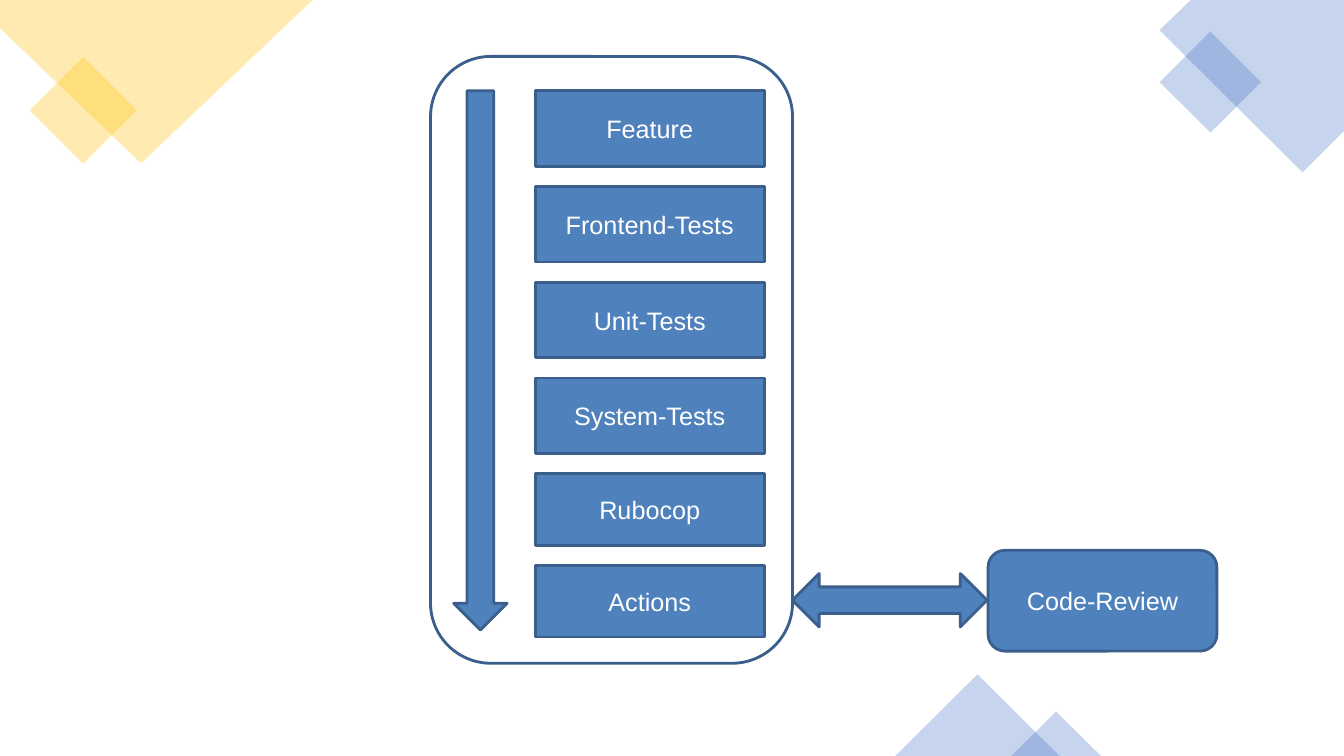
import dataclasses

import lxml.etree
import pptx
import pptx.dml.color
import pptx.enum.shapes
import pptx.enum.text
import pptx.oxml.ns
import pptx.util

EMU_PER_PX = 9144
SHAPES = pptx.enum.shapes.MSO_SHAPE


@dataclasses.dataclass(frozen=True)
class Theme:
    """Colours, font and sizes of the slide."""
    gold: str = "FFC000"
    blue: str = "4472C4"
    box: str = "4F81BD"
    outline: str = "3A5F8C"
    label: str = "FFFFFF"
    font: str = "Arial"
    label_size: int = 18
    line_width: int = 2
    decor_opacity: int = 30


THEME = Theme()


def px(length):
    """Turn whole px into EMU."""
    return pptx.util.Emu(length * EMU_PER_PX)


def rgb(colour):
    """Turn a hex string into a colour."""
    return pptx.dml.color.RGBColor.from_string(colour)


def write_text(frame, text, size=THEME.label_size, colour=THEME.label, font=THEME.font):
    """Write one centred, formatted line into a text frame."""
    frame.word_wrap = True
    frame.vertical_anchor = pptx.enum.text.MSO_ANCHOR.MIDDLE
    paragraph = frame.paragraphs[0]
    paragraph.alignment = pptx.enum.text.PP_ALIGN.CENTER
    run = paragraph.add_run()
    run.text = text
    run.font.size = pptx.util.Pt(size)
    run.font.name = font
    run.font.color.rgb = rgb(colour)


def add_outlined(slide, kind, left, top, width, height, fill=THEME.box, text=None):
    """Add an outlined diagram shape, with a label if given."""
    part = slide.shapes.add_shape(kind, px(left), px(top), px(width), px(height))
    part.shadow.inherit = False
    part.line.color.rgb = rgb(THEME.outline)
    part.line.width = pptx.util.Pt(THEME.line_width)
    if fill:
        part.fill.solid()
        part.fill.fore_color.rgb = rgb(fill)
    else:
        part.fill.background()
    if text:
        write_text(part.text_frame, text)


def tint(decor, colour):
    """Give a decoration a see-through fill and no line."""
    decor.shadow.inherit = False
    decor.line.fill.background()
    decor.fill.solid()
    decor.fill.fore_color.rgb = rgb(colour)
    qn = pptx.oxml.ns.qn
    colour_node = decor.element.spPr.find(qn("a:solidFill")).find(qn("a:srgbClr"))
    alpha = lxml.etree.SubElement(colour_node, qn("a:alpha"))
    alpha.set("val", str(THEME.decor_opacity * 1000))


def add_decor(slide, kind, left, top, width, height, colour, rotation=0):
    """Add a preset decoration."""
    decor = slide.shapes.add_shape(kind, px(left), px(top), px(width), px(height))
    decor.rotation = rotation
    tint(decor, colour)


def add_corner(slide, points, colour):
    """Add a decoration cut off by the slide edge."""
    start, *rest = [(px(x), px(y)) for x, y in points]
    builder = slide.shapes.build_freeform(*start)
    builder.add_line_segments(rest, close=True)
    tint(builder.convert_to_shape(), colour)


def add_steps(slide, left, top, width, gap, steps):
    """Stack the pipeline steps with equal gaps."""
    for name, height in steps:
        add_outlined(slide, SHAPES.RECTANGLE, left, top, width, height, text=name)
        top += height + gap


def main():
    """Build the slide and save it."""
    deck = pptx.Presentation()
    deck.slide_width, deck.slide_height = px(1333), px(750)
    slide = deck.slides.add_slide(deck.slide_layouts[6])

    add_decor(slide, SHAPES.RECTANGLE, 45, 72, 75, 75, THEME.gold, rotation=45)
    add_corner(slide, [(0, 0), (310, 0), (140, 162), (0, 28)], THEME.gold)
    add_corner(slide, [(1181, 0), (1333, 0), (1333, 130), (1292, 171), (1150, 30)], THEME.blue)
    add_decor(slide, SHAPES.RECTANGLE, 1165, 46, 71, 71, THEME.blue, rotation=45)
    add_decor(slide, SHAPES.ISOSCELES_TRIANGLE, 888, 669, 163, 81, THEME.blue)
    add_decor(slide, SHAPES.ISOSCELES_TRIANGLE, 1003, 706, 89, 44, THEME.blue)

    add_outlined(slide, SHAPES.ROUNDED_RECTANGLE, 427, 56, 359, 602, fill=None)
    add_steps(slide, 531, 90, 227, 20, [
        ("Feature", 75),
        ("Frontend-Tests", 75),
        ("Unit-Tests", 75),
        ("System-Tests", 75),
        ("Rubocop", 71),
        ("Actions", 71),
    ])
    add_outlined(slide, SHAPES.DOWN_ARROW, 450, 90, 53, 535)
    add_outlined(slide, SHAPES.ROUNDED_RECTANGLE, 980, 546, 227, 100, text="Code-Review")
    add_outlined(slide, SHAPES.LEFT_RIGHT_ARROW, 786, 569, 193, 53)

    deck.save("out.pptx")


if __name__ == "__main__":
    main()
